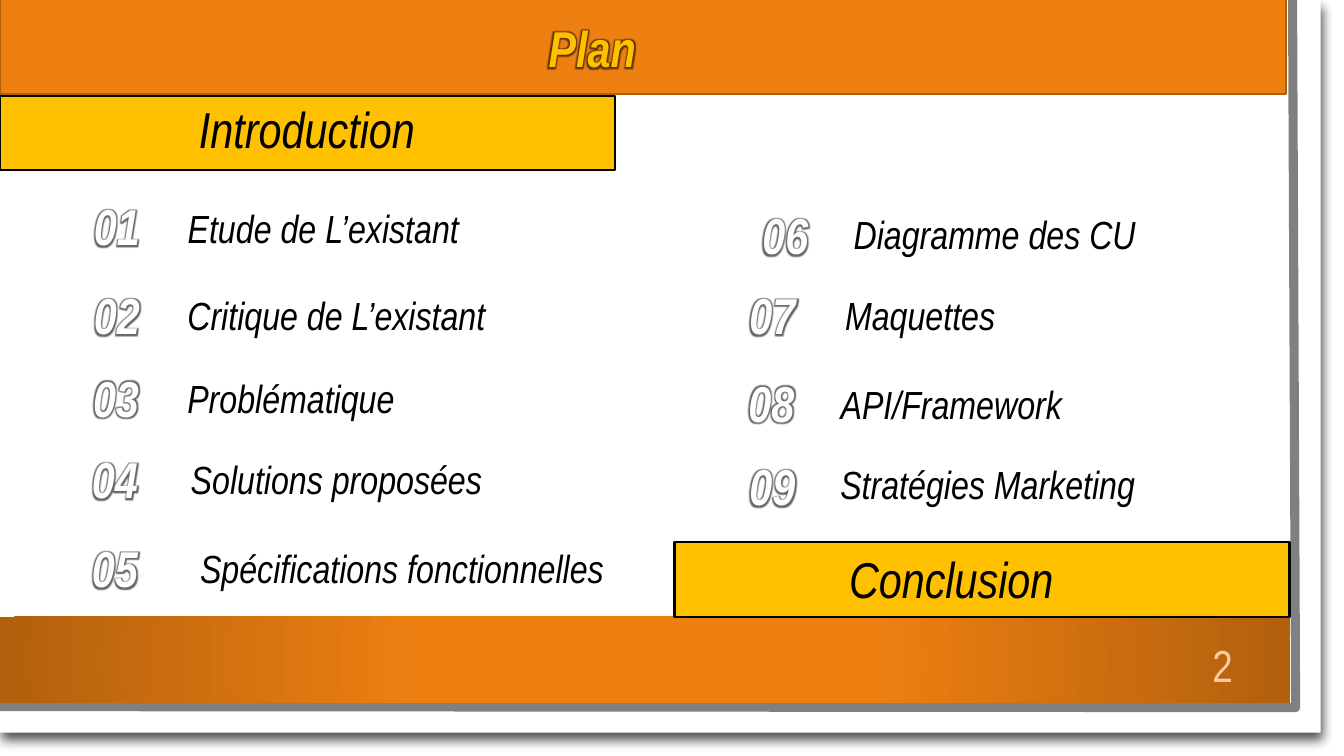
import pptx
import pptx.util
import pptx.oxml
import pptx.dml.color
import pptx.enum.shapes
import pptx.enum.text
import pptx.oxml.ns

Inches = pptx.util.Inches
FONT = "Arial Narrow"
COLORS = {
    "white": "FFFFFF", "black": "000000", "gray": "808080", "gold": "FFC000",
    "orange": "EE8011", "brown": "B05F0D", "rust": "B2600D", "peach": "F8CCA0",
}
TITLE = ("Plan", 3.83, 0.12, 4.09, 0.71)
PAGE = ("2", 11.63, 6.32, 0.99, 0.55)
PANEL = (0, 0, 13.1, 7.27)
EDGE = [(12.82, 0), (12.85, 7.02), (-0.03, 7.01)]
FOOTER = (0, 6.12, 12.8, 0.85)
BARS = [
    ((6.69, 5.38, 6.1, 0.74), "gold", "black"),
    ((0, 0.95, 6.1, 0.74), "gold", "black"),
    ((0, -0.02, 12.76, 0.95), "orange", "brown"),
]
HEADINGS = [
    ("Introduction", -0.29, 0.92, 6.67, 0.71),
    ("Conclusion", 6.85, 5.39, 5.17, 0.71),
]
CHAPTERS = [
    ("Etude de L’existant", (0.65, 1.89), (-0.13, 1.98)),
    ("Critique de L’existant", (0.65, 2.77), (0, 2.84)),
    ("Problématique", (0.64, 3.59), (-0.45, 3.66)),
    ("Solutions proposées", (0.63, 4.4), (0, 4.47)),
    ("Spécifications fonctionnelles", (0.63, 5.28), (0.65, 5.35)),
    ("Diagramme des CU", (7.28, 1.98), (6.53, 2.04)),
    ("Maquettes", (7.15, 2.77), (5.79, 2.84)),
    ("API/Framework", (7.14, 3.64), (6.1, 3.72)),
    ("Stratégies Marketing", (7.15, 4.47), (6.46, 4.52)),
]
NUMBER_SIZE = (1.02, 0.71)
LABEL_SIZE = (6.67, 0.57)

HEADING = {"size": 36, "bold": False, "italic": True}
LABEL = {"size": 28, "bold": False, "italic": True}
STRONG = {"size": 36, "bold": True, "italic": True}
PLAIN = {"size": 32, "bold": False, "italic": False}


def rgb(name):
    return pptx.dml.color.RGBColor.from_string(COLORS[name])


def xml(body):
    ns = pptx.oxml.ns.nsdecls("a")
    return pptx.oxml.parse_xml(body.replace(">", f" {ns}>", 1))


def add_rect(s, box, fill=None, line=None):
    sp = s.shapes.add_shape(pptx.enum.shapes.MSO_SHAPE.RECTANGLE, *map(Inches, box))
    sp.shadow.inherit = False
    if fill:
        sp.fill.solid()
        sp.fill.fore_color.rgb = rgb(fill)
    if line:
        sp.line.color.rgb = rgb(line)
        sp.line.width = pptx.util.Pt(1.5)
    else:
        sp.line.fill.background()
    return sp


def write(sp, text, style, color, glow=False, middle=False):
    anchor = pptx.enum.text.MSO_ANCHOR
    inset = {"margin_left": 0.1, "margin_right": 0.1, "margin_top": 0.05, "margin_bottom": 0.05}
    tf = sp.text_frame
    tf.word_wrap = True
    tf.auto_size = pptx.enum.text.MSO_AUTO_SIZE.NONE
    tf.vertical_anchor = anchor.MIDDLE if middle else anchor.TOP
    for name, value in inset.items():
        setattr(tf, name, Inches(value))
    p = tf.paragraphs[0]
    p.alignment = pptx.enum.text.PP_ALIGN.CENTER
    p.line_spacing = 1.0
    p.space_before = pptx.util.Pt(0)
    r = p.add_run()
    r.text = text
    for name, value in {**style, "size": pptx.util.Pt(style["size"]), "name": FONT}.items():
        setattr(r.font, name, value)
    r.font.color.rgb = rgb(color)
    if glow:
        fill = r.font.color.rgb and r.font._element.find(pptx.oxml.ns.qn("a:solidFill"))
        fill.addnext(xml(
            '<a:effectLst><a:glow rad="50800"><a:srgbClr val="000000">'
            '<a:alpha val="60000"/></a:srgbClr></a:glow></a:effectLst>'))


def add_text(s, text, box, style, color, **options):
    sp = s.shapes.add_textbox(*map(Inches, box))
    write(sp, text, style, color, **options)


def add_frame(s):
    panel = add_rect(s, PANEL, "white")
    panel._element.spPr.find(pptx.oxml.ns.qn("a:effectLst")).append(xml(
        '<a:outerShdw blurRad="99060" dist="76200" dir="4380000">'
        '<a:srgbClr val="000000"><a:alpha val="68000"/></a:srgbClr></a:outerShdw>'))

    points = [(Inches(x), Inches(y)) for x, y in EDGE]
    builder = s.shapes.build_freeform(*points[0])
    builder.add_line_segments(points[1:], close=False)
    edge = builder.convert_to_shape()
    edge.shadow.inherit = False
    edge.fill.background()
    edge.line.color.rgb = rgb("gray")
    edge.line.width = pptx.util.Pt(6.5)

    footer = add_rect(s, FOOTER)
    footer.fill.gradient()
    for stop, (position, color) in zip(footer.fill.gradient_stops, [(0.34, "orange"), (1, "rust")]):
        stop.position = position
        stop.color.rgb = rgb(color)
    lin = footer._element.spPr.find(".//" + pptx.oxml.ns.qn("a:lin"))
    lin.addnext(xml(
        '<a:path path="circle"><a:fillToRect l="50000" t="50000" r="50000" b="50000"/></a:path>'))
    lin.getparent().remove(lin)


def main():
    prs = pptx.Presentation()
    prs.slide_width, prs.slide_height = Inches(13.33), Inches(7.5)
    s = prs.slides.add_slide(prs.slide_layouts[5])
    add_frame(s)
    for box, fill, line in BARS:
        add_rect(s, box, fill, line)

    title = s.shapes.title
    title.left, title.top, title.width, title.height = map(Inches, TITLE[1:])
    write(title, TITLE[0], STRONG, "gold", glow=True)
    s.shapes._spTree.append(title._element)

    for text, *box in HEADINGS:
        add_text(s, text, box, HEADING, "black")
    for i, (text, number_at, label_at) in enumerate(CHAPTERS, 1):
        add_text(s, f"{i:02d}", number_at + NUMBER_SIZE, STRONG, "white", glow=True)
        add_text(s, text, label_at + LABEL_SIZE, LABEL, "black")
    add_text(s, PAGE[0], PAGE[1:], PLAIN, "peach", middle=True)
    prs.save("out.pptx")


if __name__ == "__main__":
    main()
